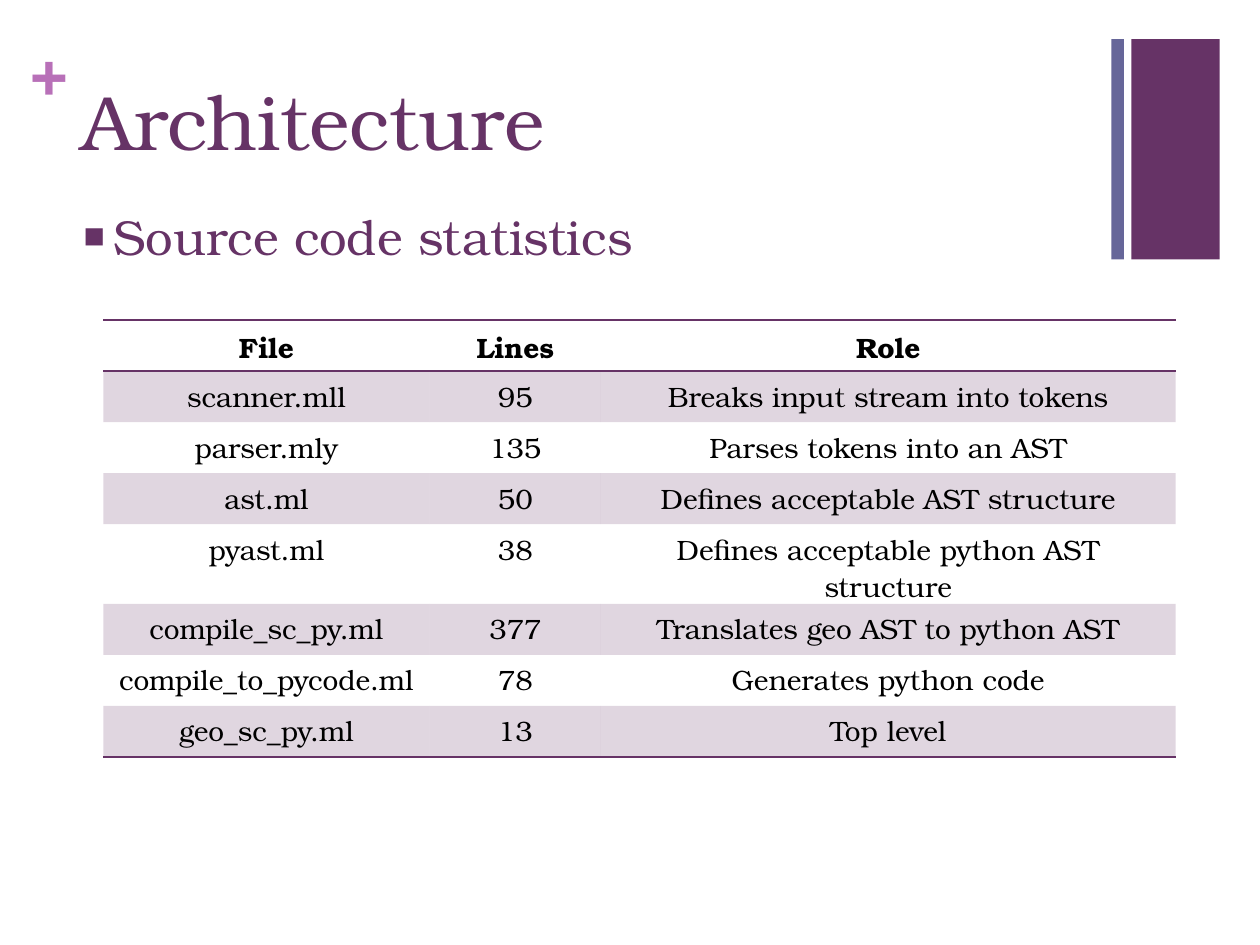
from dataclasses import dataclass

from lxml import etree
from pptx import Presentation
from pptx.dml.color import RGBColor
from pptx.enum.shapes import MSO_SHAPE
from pptx.enum.text import MSO_ANCHOR, MSO_AUTO_SIZE, PP_ALIGN
from pptx.oxml.ns import qn
from pptx.util import Inches, Pt

RECT = MSO_SHAPE.RECTANGLE
TOP = MSO_ANCHOR.TOP
FIXED = MSO_AUTO_SIZE.NONE
LEFT, CENTER = PP_ALIGN.LEFT, PP_ALIGN.CENTER
PLAIN = "{2D5ABB26-0587-4C30-8999-92F81FD0307C}"

ROWS = [
    ("File", "Lines", "Role"),
    ("scanner.mll", "95", "Breaks input stream into tokens"),
    ("parser.mly", "135", "Parses tokens into an AST"),
    ("ast.ml", "50", "Defines acceptable AST structure"),
    ("pyast.ml", "38", "Defines acceptable python AST structure"),
    ("compile_sc_py.ml", "377", "Translates geo AST to python AST"),
    ("compile_to_pycode.ml", "78", "Generates python code"),
    ("geo_sc_py.ml", "13", "Top level"),
]


@dataclass(frozen=True)
class Theme:
    font: str = "TeX Gyre Bonum"
    main: str = "663366"
    side: str = "666699"
    plus: str = "B870B8"
    ink: str = "000000"
    title: int = 44
    mark: int = 36
    body: int = 28
    cell: int = 16
    tint: int = 20


class Deck:
    """Draws styled elements on the current slide."""

    def __init__(self, theme):
        self.theme = theme
        self.file = Presentation()
        self.file.slide_width, self.file.slide_height = Inches(10), Inches(7.5)
        self.slide = self.file.slides.add_slide(self.file.slide_layouts[1])

    def label(self, para, text, size, color, bold=False, align=LEFT):
        para.text = text
        para.alignment = align
        font = para.font
        font.name, font.size, font.bold = self.theme.font, Pt(size), bold
        font.color.rgb = RGBColor.from_string(color)

    def bar(self, left, width, color):
        shape = self.slide.shapes.add_shape(
            RECT, Inches(left), Inches(0.31), Inches(width), Inches(1.75))
        shape.shadow.inherit = False
        shape.fill.solid()
        shape.fill.fore_color.rgb = RGBColor.from_string(color)
        shape.line.fill.background()

    def mark(self, text, left, top, width, height):
        box = self.slide.shapes.add_textbox(
            Inches(left), Inches(top), Inches(width), Inches(height))
        frame = box.text_frame
        frame.word_wrap = True
        frame.margin_left = frame.margin_right = 0
        frame.margin_top = frame.margin_bottom = 0
        self.label(frame.paragraphs[0], text, self.theme.mark, self.theme.plus, True)

    def place(self, holder, text, size, top, height):
        holder.left, holder.top = Inches(0.55), Inches(top)
        holder.width, holder.height = Inches(8.26), Inches(height)
        frame = holder.text_frame
        frame.auto_size = FIXED
        frame.vertical_anchor = TOP
        para = frame.paragraphs[0]
        self.label(para, text, size, self.theme.main)
        return para

    def title(self, text):
        self.place(self.slide.shapes.title, text, self.theme.title, 0.53, 1.22)

    def body(self, text):
        para = self.place(self.slide.placeholders[1], text, self.theme.body, 1.59, 4.53)
        para.space_before = Pt(20)
        props = para._p.get_or_add_pPr()
        props.set("marL", str(Inches(0.25)))
        props.set("indent", str(-Inches(0.25)))
        color = etree.SubElement(props, qn("a:buClr"))
        etree.SubElement(color, qn("a:srgbClr"), val=self.theme.main)
        etree.SubElement(props, qn("a:buSzPct"), val="75000")
        etree.SubElement(props, qn("a:buFont"), typeface=self.theme.font)
        etree.SubElement(props, qn("a:buChar"), char="■")
        props.append(props.find(qn("a:defRPr")))

    def edge(self, cell, side):
        props = cell._tc.get_or_add_tcPr()
        line = etree.SubElement(props, qn(f"a:ln{side}"), w=str(Pt(1)))
        fill = etree.SubElement(line, qn("a:solidFill"))
        etree.SubElement(fill, qn("a:srgbClr"), val=self.theme.main)

    def shade(self, cell):
        cell.fill.solid()
        cell.fill.fore_color.rgb = RGBColor.from_string(self.theme.main)
        color = cell._tc.tcPr.find(qn("a:solidFill")).find(qn("a:srgbClr"))
        etree.SubElement(color, qn("a:alpha"), val=str(self.theme.tint * 1000))

    def table(self, rows, widths, left, top, height):
        grid = self.slide.shapes.add_table(
            len(rows), len(widths), Inches(left), Inches(top),
            Inches(sum(widths)), Inches(height)).table
        grid.first_row = grid.horz_banding = False
        grid._tbl.tblPr.find(qn("a:tableStyleId")).text = PLAIN
        for col, width in zip(grid.columns, widths):
            col.width = Inches(width)
        last = len(rows) - 1
        for r, row in enumerate(rows):
            for c, text in enumerate(row):
                cell = grid.cell(r, c)
                self.label(cell.text_frame.paragraphs[0], text, self.theme.cell,
                           self.theme.ink, r == 0, CENTER)
                if r == 0:
                    self.edge(cell, "T")
                if r in (0, last):
                    self.edge(cell, "B")
                if r % 2:
                    self.shade(cell)
                else:
                    cell.fill.background()


def main():
    theme = Theme()
    deck = Deck(theme)
    deck.bar(8.98, 0.7, theme.main)
    deck.mark("+", 0.24, 0.25, 0.29, 0.61)
    deck.bar(8.82, 0.1, theme.side)
    deck.title("Architecture")
    deck.body("Source code statistics")
    deck.table(ROWS, (2.59, 1.36, 4.56), 0.82, 2.54, 3.24)
    deck.file.save("out.pptx")


if __name__ == "__main__":
    main()
